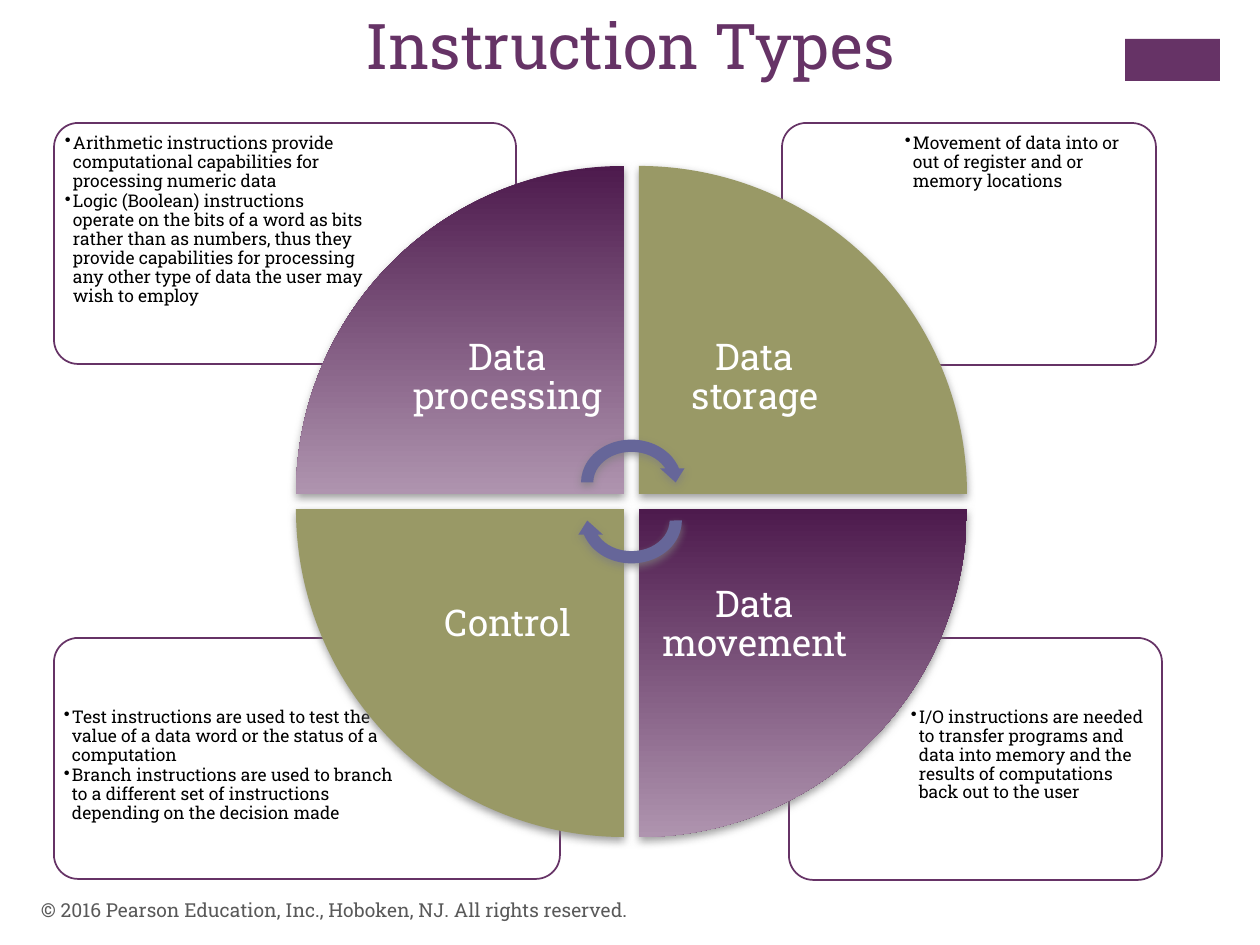
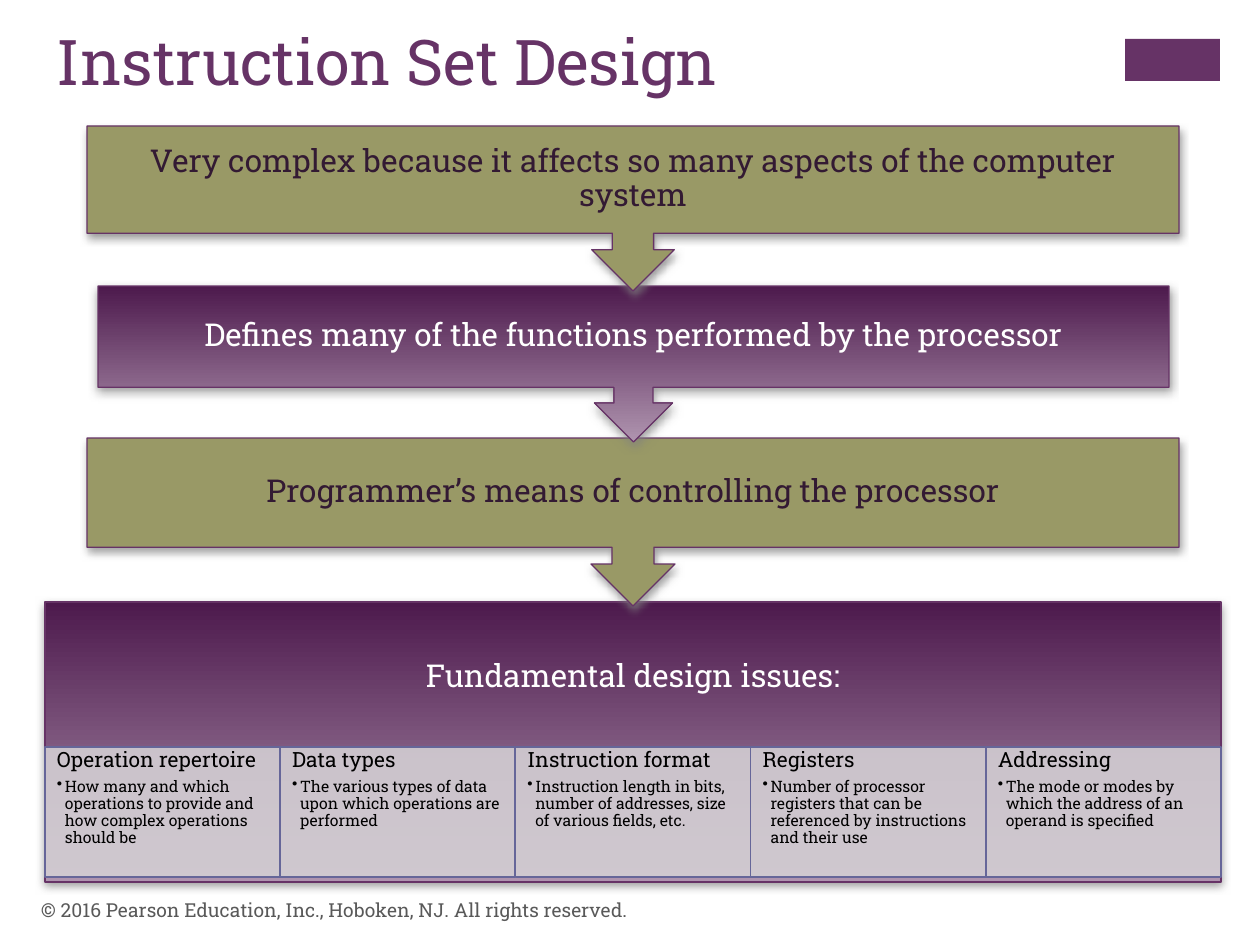
from dataclasses import dataclass

from lxml import etree
from pptx import Presentation
from pptx.dml.color import RGBColor
from pptx.enum import shapes, text
from pptx.oxml.ns import qn
from pptx.util import Emu, Pt

# ---- Content ----
COPYRIGHT = "© 2016 Pearson Education, Inc., Hoboken, NJ. All rights reserved."

TYPES_TITLE = "Instruction Types"
# label, wedge column, wedge row, rotation, card box, notes box, notes
QUADRANTS = [
    ("Data processing", 0, 0, 0, (54, 123, 462, 241), (60, 129, 312, 170), [
        "Arithmetic instructions provide computational capabilities for "
        "processing numeric data",
        "Logic (Boolean) instructions operate on the bits of a word as bits "
        "rather than as numbers, thus they provide capabilities for "
        "processing any other type of data the user may wish to employ"]),
    ("Data storage", 1, 0, 90, (782, 123, 374, 242), (900, 129, 251, 171), [
        "Movement of data into or out of register and or memory locations"]),
    ("Data movement", 1, 1, 180, (789, 638, 373, 242), (906, 703, 251, 171), [
        "I/O instructions are needed to transfer programs and data into "
        "memory and the results of computations back out to the user"]),
    ("Control", 0, 1, 270, (54, 638, 506, 241), (59, 703, 344, 170), [
        "Test instructions are used to test the value of a data word or the "
        "status of a computation",
        "Branch instructions are used to branch to a different set of "
        "instructions depending on the decision made"]),
]

DESIGN_TITLE = "Instruction Set Design"
# statement, box
STEPS = [
    ("Very complex because it affects so many aspects of the computer system",
     (87, 126, 1092, 165)),
    ("Defines many of the functions performed by the processor",
     (98, 286, 1071, 156)),
    ("Programmer’s means of controlling the processor",
     (87, 438, 1092, 168)),
]
ISSUES_HEADING = "Fundamental design issues:"
ISSUES = [
    ("Operation repertoire", "How many and which operations to provide and "
                             "how complex operations should be"),
    ("Data types", "The various types of data upon which operations are "
                   "performed"),
    ("Instruction format", "Instruction length in bits, number of addresses, "
                           "size of various fields, etc."),
    ("Registers", "Number of processor registers that can be referenced by "
                  "instructions and their use"),
    ("Addressing", "The mode or modes by which the address of an operand is "
                   "specified"),
]


# ---- Theme ----
@dataclass(frozen=True)
class Theme:
    font: str = "Roboto Slab"
    purple: str = "663366"
    plum: tuple = ("4D1A4D", "AF94AF")
    olive: str = "999966"
    blue: str = "666699"
    pale: str = "D3CED3"
    white: str = "FFFFFF"
    black: str = "000000"
    dark: str = "331A33"
    grey: str = "595959"
    shadow: str = "808080"
    title: int = 36
    label: int = 21
    step: int = 18
    issue: int = 12
    footer: int = 11
    note: int = 10
    detail: int = 9


T = Theme()
SHAPE = shapes.MSO_SHAPE
ALIGN = text.PP_ALIGN
ANCHOR = text.MSO_ANCHOR
PX_PER_INCH = 126


def px(n):
    return Emu(round(n * 914400 / PX_PER_INCH))


# ---- Helpers ----
def set_fill(shape, colour, opacity=100):
    """A pair of colours gives a top-to-bottom gradient, one a solid fill."""
    if isinstance(colour, tuple):
        shape.fill.gradient()
        shape.fill.gradient_angle = 270
        for stop, shade in zip(shape.fill.gradient_stops, colour):
            stop.color.rgb = RGBColor.from_string(shade)
        gradient = shape._element.spPr.find(qn("a:gradFill"))
        gradient.set("rotWithShape", "0")
        return
    shape.fill.solid()
    shape.fill.fore_color.rgb = RGBColor.from_string(colour)
    if opacity < 100:
        rgb = shape._element.spPr.find(qn("a:solidFill"))[0]
        etree.SubElement(rgb, qn("a:alpha"), val=str(opacity * 1000))


def add_shadow(shape):
    effects = shape._element.spPr.find(qn("a:effectLst"))
    outer = etree.SubElement(
        effects, qn("a:outerShdw"), blurRad=str(Pt(5)), dist=str(Pt(2)),
        dir="5400000", rotWithShape="0")
    rgb = etree.SubElement(outer, qn("a:srgbClr"), val=T.shadow)
    etree.SubElement(rgb, qn("a:alpha"), val="75000")


def add_part(slide, kind, box, fill, line=None, width=1, opacity=100,
             rotation=0, shadow=True):
    part = slide.shapes.add_shape(kind, *map(px, box))
    part.rotation = rotation
    part.shadow.inherit = False
    set_fill(part, fill, opacity)
    if line:
        part.line.color.rgb = RGBColor.from_string(line)
        part.line.width = Pt(width)
    else:
        part.line.fill.background()
    if shadow:
        add_shadow(part)
    return part


def set_frame(shape, margins, anchor):
    frame = shape.text_frame
    frame.word_wrap = True
    frame.auto_size = text.MSO_AUTO_SIZE.NONE
    frame.vertical_anchor = anchor
    (frame.margin_left, frame.margin_top,
     frame.margin_right, frame.margin_bottom) = map(px, margins)
    return frame


def add_text_box(slide, box, margins, anchor=ANCHOR.TOP):
    return set_frame(slide.shapes.add_textbox(*map(px, box)), margins, anchor)


def style(paragraph, size, colour, align=ALIGN.LEFT, spacing=0.9, after=0,
          bullet=False):
    if bullet:
        props = paragraph._p.get_or_add_pPr()
        props.set("marL", str(px(8)))
        props.set("indent", str(-px(8)))
        etree.SubElement(props, qn("a:buChar"), char="•")
    paragraph.alignment = align
    paragraph.line_spacing = spacing
    paragraph.space_after = Pt(after)
    for run in paragraph.runs:
        run.font.name = T.font
        run.font.size = Pt(size)
        run.font.color.rgb = RGBColor.from_string(colour)


def write_centred(frame, words, size, colour):
    frame.text = words
    style(frame.paragraphs[0], size, colour, ALIGN.CENTER)


def start_slide(deck, heading, box, align):
    slide = deck.slides.add_slide(deck.slide_layouts[5])
    title = slide.shapes.title
    title.left, title.top, title.width, title.height = map(px, box)
    frame = set_frame(title, (13, 6, 13, 6), ANCHOR.TOP)
    frame.text = heading
    style(frame.paragraphs[0], T.title, T.purple, align, 1.0)
    return slide


def add_footer(slide):
    footer = add_text_box(slide, (28, 885, 844, 50), (13, 6, 13, 6),
                          ANCHOR.MIDDLE)
    footer.text = COPYRIGHT
    style(footer.paragraphs[0], T.footer, T.grey, spacing=1.0)


def add_layout_band(slide):
    """Put the corner band on the layout that both slides use."""
    band = add_part(slide, SHAPE.RECTANGLE, (1125, 39, 95, 42), T.purple,
                    shadow=False)
    slide.slide_layout.shapes._spTree.append(band._element)


# ---- Slide 1: wheel of four instruction types ----
def build_types(deck):
    slide = start_slide(deck, TYPES_TITLE, (0, 0, 1260, 154), ALIGN.CENTER)
    add_layout_band(slide)
    left, top, wedge, gap, label_size = 296, 166, 328, 15, 232

    for _, _, _, _, card_box, notes_box, notes in reversed(QUADRANTS):
        card = add_part(slide, SHAPE.ROUNDED_RECTANGLE, card_box, T.white,
                        T.purple, opacity=90, shadow=False)
        card.adjustments[0] = 0.1
        frame = add_text_box(slide, notes_box, (5, 5, 5, 5))
        frame.text = "\n".join(notes)
        for paragraph in frame.paragraphs:
            style(paragraph, T.note, T.black, after=1, bullet=True)

    for i, (label, col, row, rotation, *_) in enumerate(QUADRANTS):
        x = left + col * (wedge + gap)
        y = top + row * (wedge + gap)
        add_part(slide, SHAPE.PIE_WEDGE, (x, y, wedge, wedge),
                 T.olive if i % 2 else T.plum, rotation=rotation)
        # Labels sit against the inner corner of each wedge
        inward = wedge - label_size
        frame = add_text_box(
            slide, (x + (1 - col) * inward, y + (1 - row) * inward,
                    label_size, label_size), (20, 20, 20, 20), ANCHOR.MIDDLE)
        write_centred(frame, label, T.label, T.white)

    hub_x, hub_y = left + wedge + gap / 2, top + wedge + gap / 2
    arrow_w, arrow_h, offset = 113, 98, 19
    for side, rotation in ((-1, 0), (1, 180)):
        add_part(slide, SHAPE.CIRCULAR_ARROW,
                 (hub_x - arrow_w / 2, hub_y + side * offset - arrow_h / 2,
                  arrow_w, arrow_h), T.blue, rotation=rotation)
    add_footer(slide)


# ---- Slide 2: chain of statements down to the design issues ----
def build_design(deck):
    slide = start_slide(deck, DESIGN_TITLE, (44, 16, 1041, 154), ALIGN.LEFT)
    x, y, width, height = 45, 602, 1176, 280
    heading_height, pad = 151, 18

    base = add_part(slide, SHAPE.RECTANGLE, (x, y, width, height), T.plum,
                    T.purple, 0.75)
    frame = set_frame(base, (pad, pad, pad, height - heading_height + pad),
                      ANCHOR.MIDDLE)
    write_centred(frame, ISSUES_HEADING, T.step, T.white)

    cell = width / len(ISSUES)
    for i, (issue, detail) in enumerate(ISSUES):
        part = add_part(slide, SHAPE.RECTANGLE, (x + i * cell, 747, cell, 130),
                        T.pale, T.blue, opacity=90, shadow=False)
        frame = set_frame(part, (12, 2, 12, 2), ANCHOR.TOP)
        frame.text = f"{issue}\n{detail}"
        style(frame.paragraphs[0], T.issue, T.black, after=4)
        style(frame.paragraphs[1], T.detail, T.black, after=1, bullet=True)

    # Lower steps first, so each arrow tip overlaps the step below it
    for i, (statement, box) in reversed(list(enumerate(STEPS))):
        fill, ink = (T.plum, T.white) if i % 2 else (T.olive, T.dark)
        step = add_part(slide, SHAPE.DOWN_ARROW_CALLOUT, box, fill,
                        T.purple, 0.75)
        frame = set_frame(step, (pad,) * 4, ANCHOR.MIDDLE)
        write_centred(frame, statement, T.step, ink)
    add_footer(slide)


def main():
    deck = Presentation()
    deck.slide_width, deck.slide_height = px(1260), px(945)
    build_types(deck)
    build_design(deck)
    deck.save("out.pptx")


if __name__ == "__main__":
    main()
